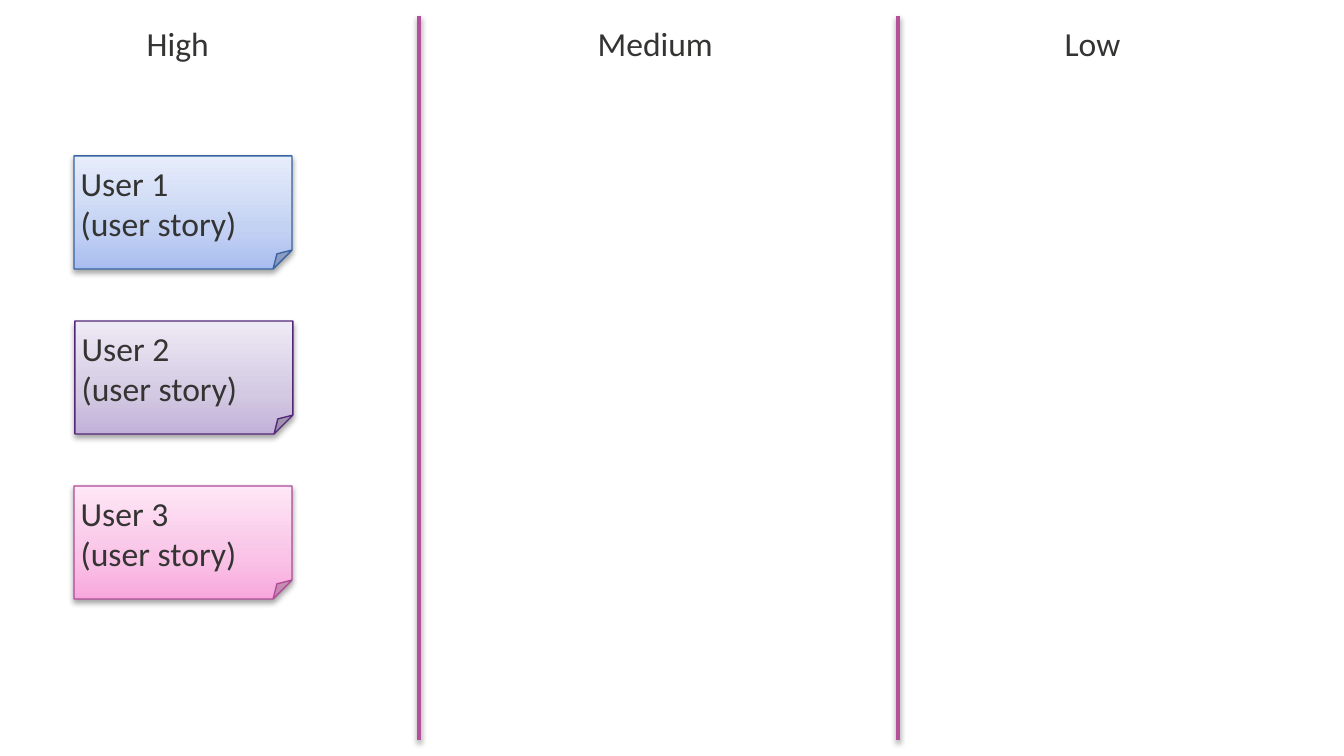
from lxml.etree import SubElement as Sub
from pptx import Presentation
from pptx.dml.color import RGBColor
from pptx.enum.shapes import MSO_CONNECTOR as Conn, MSO_SHAPE as Shape
from pptx.enum.text import MSO_ANCHOR as Anchor, MSO_AUTO_SIZE as Auto, PP_ALIGN as Align
from pptx.oxml.ns import qn
from pptx.util import Emu, Inches, Pt

# Content
HEADINGS = [("High", 140), ("Medium", 591), ("Low", 1058)]
DIVIDERS = [419, 898]
NOTES = [
    (["User 1", "(user story)"], "blue", 74),
    (["User 2", "(user story)"], "purple", 75),
    (["User 3", "(user story)"], "pink", 74),
]
COLORS = {"text": "343433", "divider": "B35099", "shadow": "000000",
          "blue": "3965A2", "purple": "542778", "pink": "B14C97"}
GRADIENTS = {"blue": ["A8BDEF", "C3D1F3", "E7EDFB"],
             "purple": ["C1B1D8", "D3C9E2", "EEEAF5"],
             "pink": ["F8A7DD", "F9C2E6", "FEE7F6"]}
STOPS = [0, 35, 100]

# Layout in pixels
TOP, BOTTOM = 16, 740
HEADING_W, HEADING_H = 243, 54
NOTE_TOP, NOTE_PITCH, NOTE_W, NOTE_H = 156, 165, 218, 113


def px(*values):
    return [Emu(round(v * 914400 / 134.4)) for v in values]


def rgb(name):
    return RGBColor.from_string(COLORS[name])


def set_line(line, color, width):
    line.color.rgb = rgb(color)
    line.width = Pt(width)


def add_shadow(sp, opacity, distance):
    effects = Sub(sp._element.spPr, qn("a:effectLst"))
    outer = Sub(effects, qn("a:outerShdw"), blurRad=str(Pt(3)), dist=str(Pt(distance)),
                dir="5400000", rotWithShape="0")
    color = Sub(outer, qn("a:srgbClr"), val=COLORS["shadow"])
    Sub(color, qn("a:alpha"), val=str(opacity * 1000))


def set_gradient(fill, gs_list, colors):
    fill.gradient_angle = 90
    for gs in list(gs_list):
        gs_list.remove(gs)
    for pos, color in zip(STOPS, colors):
        gs = Sub(gs_list, qn("a:gs"), pos=str(pos * 1000))
        Sub(gs, qn("a:srgbClr"), val=color)


def write(sp, lines, size=18, font="Calibri", color="text", anchor=Anchor.TOP):
    tf = sp.text_frame
    tf.word_wrap = True
    tf.auto_size = Auto.SHAPE_TO_FIT_TEXT
    tf.vertical_anchor = anchor
    tf.margin_left = tf.margin_right = tf.margin_top = tf.margin_bottom = Inches(0.05)
    for i, line in enumerate(lines):
        p = tf.paragraphs[0] if i == 0 else tf.add_paragraph()
        p.alignment = Align.LEFT
        r = p.add_run()
        r.text = line
        r.font.size, r.font.name = Pt(size), font
        r.font.color.rgb = rgb(color)


prs = Presentation()
prs.slide_width, prs.slide_height = px(1344, 756)
shapes = prs.slides.add_slide(prs.slide_layouts[6]).shapes

# Column dividers
for x in DIVIDERS:
    divider = shapes.add_connector(Conn.STRAIGHT, *px(x, TOP, x, BOTTOM))
    set_line(divider.line, "divider", 2)
    add_shadow(divider, 38, 1.6)

# Priority headings
for label, x in HEADINGS:
    write(shapes.add_textbox(*px(x, TOP, HEADING_W, HEADING_H)), [label])

# User story notes
for i, (lines, color, x) in enumerate(NOTES):
    note = shapes.add_shape(Shape.FOLDED_CORNER,
                            *px(x, NOTE_TOP + i * NOTE_PITCH, NOTE_W, NOTE_H))
    note.fill.gradient()
    set_gradient(note.fill, note._element.spPr.find(".//" + qn("a:gsLst")), GRADIENTS[color])
    set_line(note.line, color, 0.75)
    add_shadow(note, 35, 1.8)
    write(note, lines, anchor=Anchor.MIDDLE)

prs.save("out.pptx")
